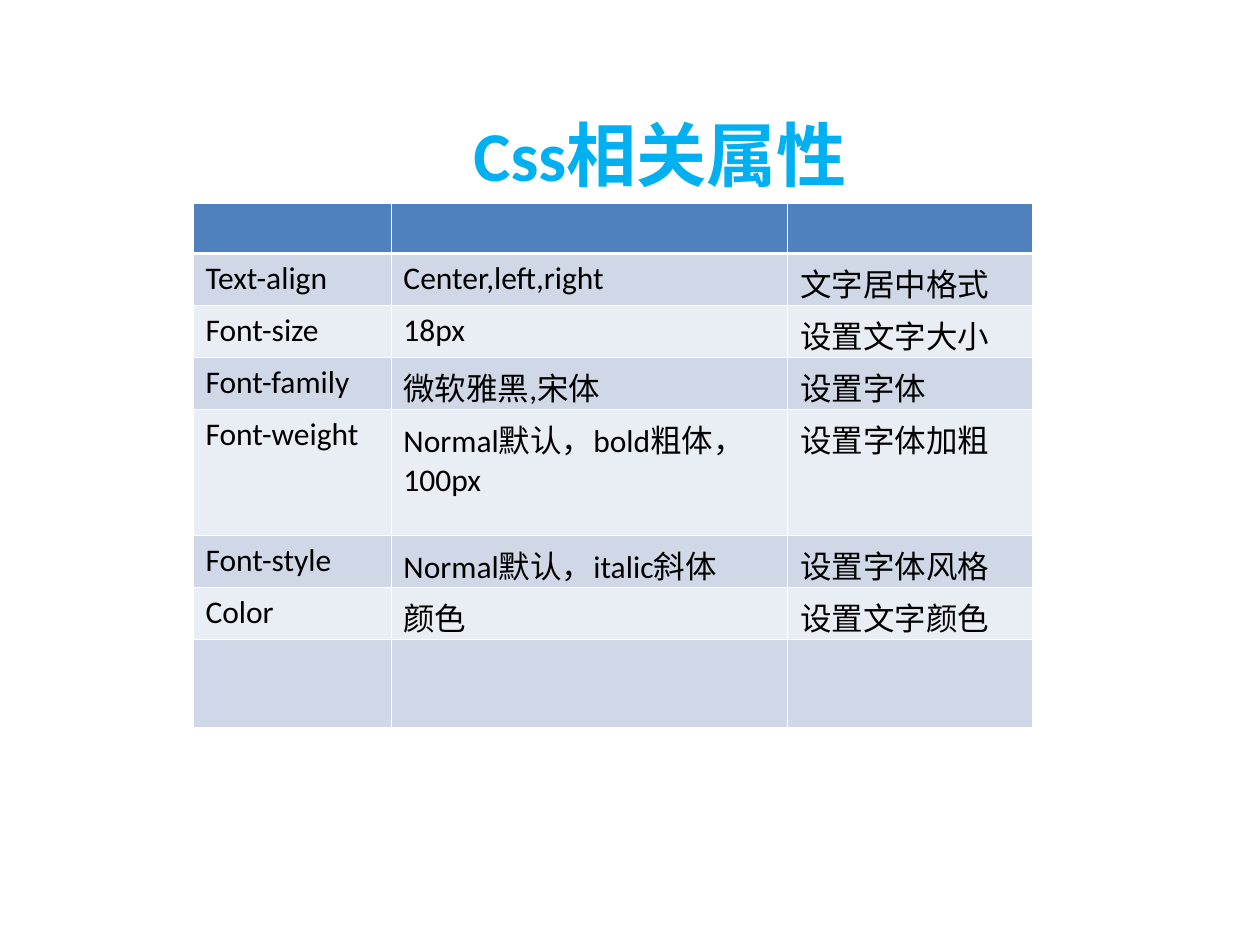
import dataclasses

import lxml.etree
import pptx
import pptx.dml.color
import pptx.enum.text
import pptx.oxml.ns
import pptx.util

Cm = pptx.util.Cm


@dataclasses.dataclass(frozen=True)
class Theme:
    """Colours, font and type sizes of the slide."""
    font: str = "Calibri"
    title: str = "00B0F0"
    text: str = "000000"
    header: str = "4F81BD"
    bands: tuple = ("D0D8E8", "E9EDF4")
    border: str = "FFFFFF"
    title_size: int = 40
    body_size: int = 18
    thin: float = 0.45
    thick: float = 1.47


THEME = Theme()
COLUMNS = (3.99, 8, 4.94)
ROWS = (
    (1.02, ("", "", "")),
    (1.03, ("Text-align", "Center,left,right", "文字居中格式")),
    (1.03, ("Font-size", "18px", "设置文字大小")),
    (1.03, ("Font-family", "微软雅黑,宋体", "设置字体")),
    (2.54, ("Font-weight", "Normal默认，bold粗体，100px", "设置字体加粗")),
    (1.03, ("Font-style", "Normal默认，italic斜体", "设置字体风格")),
    (1.03, ("Color", "颜色", "设置文字颜色")),
    (1.78, ("", "", "")),
)


def rgb(value):
    """Turn a hex string into a colour."""
    return pptx.dml.color.RGBColor.from_string(value)


def write(tf, text, size=THEME.body_size, color=THEME.text, bold=False, align=None):
    """Put one formatted run into a text frame."""
    p = tf.paragraphs[0]
    p.alignment = align
    r = p.add_run()
    r.text = text
    r.font.name = THEME.font
    r.font.size = pptx.util.Pt(size)
    r.font.bold = bold
    r.font.color.rgb = rgb(color)


def set_borders(cell, **widths):
    """Draw the cell borders, given as L, R, T and B widths in points."""
    qn = pptx.oxml.ns.qn
    tc_pr = cell._tc.get_or_add_tcPr()
    for side, width in widths.items():
        ln = lxml.etree.SubElement(tc_pr, qn(f"a:ln{side}"), w=str(pptx.util.Pt(width)))
        fill = lxml.etree.SubElement(ln, qn("a:solidFill"))
        lxml.etree.SubElement(fill, qn("a:srgbClr"), val=THEME.border)


def add_title(s, text, left, top, width, height):
    """Place the slide title in the given box."""
    sp = s.shapes.title
    sp.left, sp.top, sp.width, sp.height = Cm(left), Cm(top), Cm(width), Cm(height)
    tf = sp.text_frame
    tf.auto_size = pptx.enum.text.MSO_AUTO_SIZE.NONE
    write(tf, text, size=THEME.title_size, color=THEME.title, bold=True,
          align=pptx.enum.text.PP_ALIGN.CENTER)


def add_property_table(s, left, top, width, height):
    """Place the banded property table, scaled to the given box."""
    sp = s.shapes.add_table(len(ROWS), len(COLUMNS), Cm(left), Cm(top), Cm(width), Cm(height))
    table = sp.table
    x_scale = width / sum(COLUMNS)
    y_scale = height / sum(h for h, _ in ROWS)
    for column, w in zip(table.columns, COLUMNS):
        column.width = Cm(w * x_scale)
    for i, (h, texts) in enumerate(ROWS):
        table.rows[i].height = Cm(h * y_scale)
        color = THEME.bands[(i - 1) % 2] if i else THEME.header
        for j, text in enumerate(texts):
            cell = table.cell(i, j)
            cell.margin_bottom = Cm(0)
            set_borders(cell, L=THEME.thin, R=THEME.thin,
                        T=THEME.thick if i == 1 else THEME.thin,
                        B=THEME.thick if i == 0 else THEME.thin)
            cell.fill.solid()
            cell.fill.fore_color.rgb = rgb(color)
            if text:
                write(cell.text_frame, text)


def main():
    """Build the slide and save it."""
    prs = pptx.Presentation()
    prs.slide_width, prs.slide_height = Cm(25.4), Cm(19.05)
    s = prs.slides.add_slide(prs.slide_layouts.get_by_name("Title Only"))
    add_title(s, "Css相关属性", 2.1, 2.11, 22.4, 1.96)
    add_property_table(s, 3.89, 4.09, 16.93, 10.49)
    prs.save("out.pptx")


if __name__ == "__main__":
    main()
